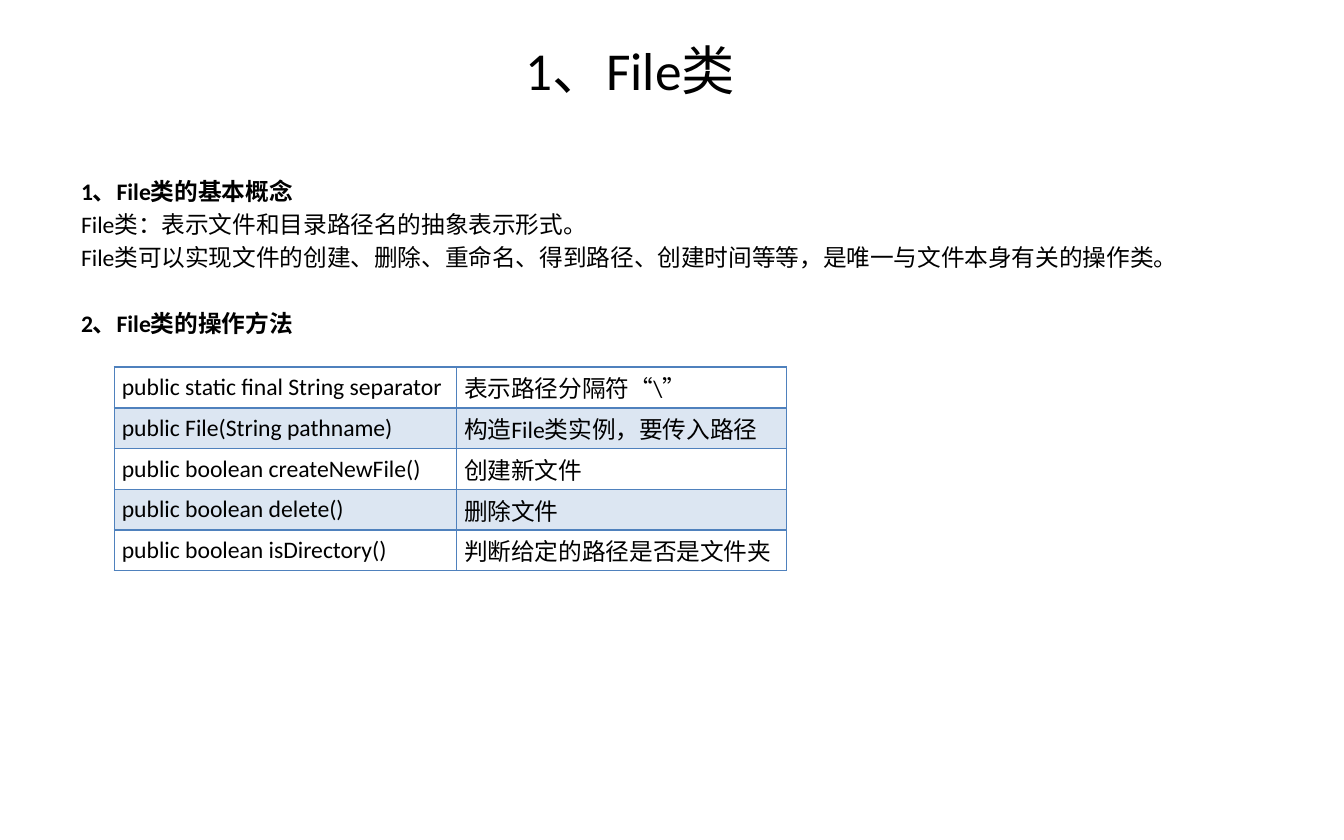
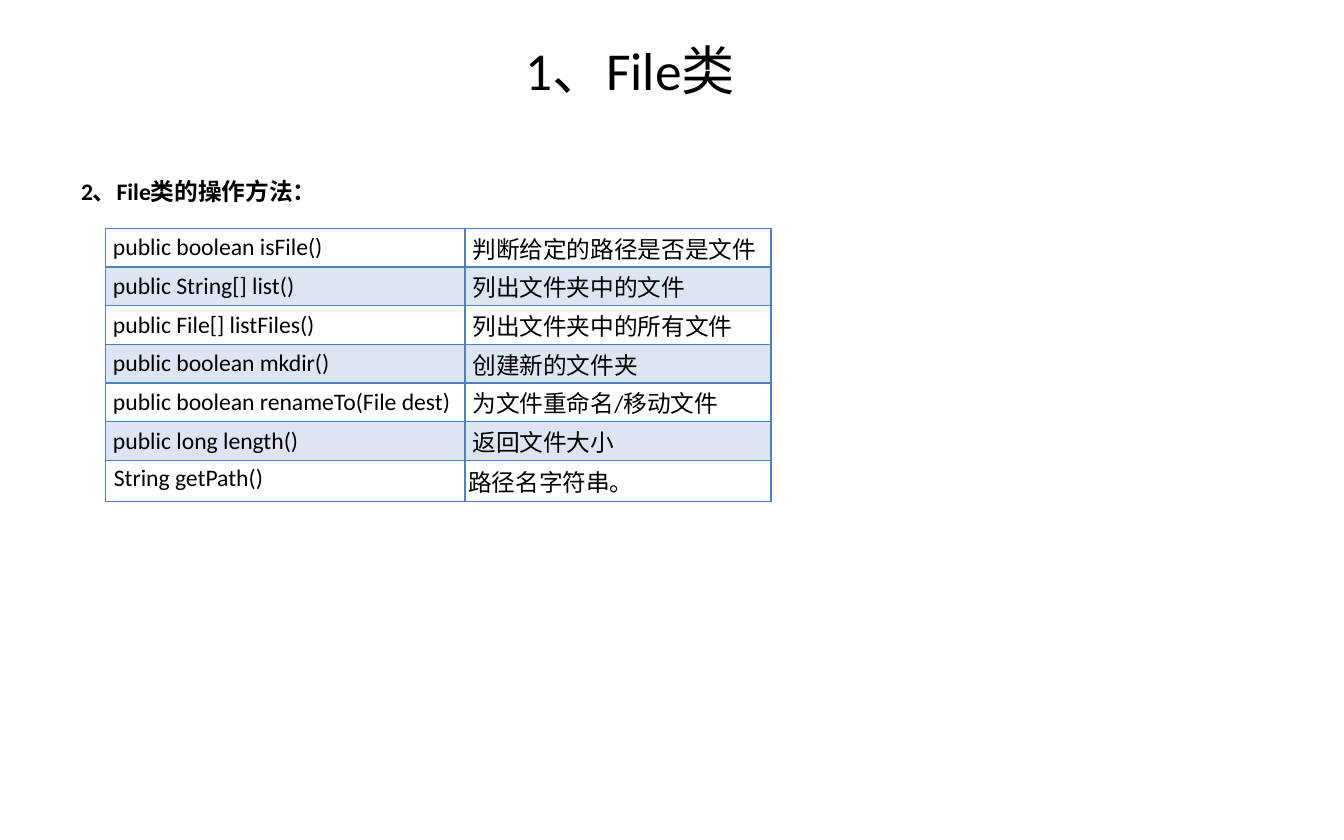
import pptx
import pptx.dml.color
import pptx.enum.text
import pptx.oxml
import pptx.oxml.ns
import pptx.util

Cm = pptx.util.Cm
Pt = pptx.util.Pt
ALIGN = pptx.enum.text.PP_ALIGN
ANCHOR = pptx.enum.text.MSO_ANCHOR

COLORS = {"text": "000000", "border": "4F81BD", "band": "DCE6F2"}
FONT = "Calibri"
TITLE = "1、File类"
TITLE_BOX = (4.01, 0.81, 22, 1.68)
BODY_BOX = (1.6, 4.04, 28.8, 13.49)
BOX_MARGINS = (0.33, 0.18, 0.33, 0.18)
CELL_MARGINS = (0.18, 0, 0.18, 0)
TITLE_SIZE, TEXT_SIZE = 36, 16
LINE_GAP, SECTION_GAP = 3, 25.5
THIN, THICK = 1, 2

# Body lines: (text, is a heading)
SLIDES = [
    {
        "body": [
            ("1、File类的基本概念", True),
            ("File类：表示文件和目录路径名的抽象表示形式。", False),
            ("File类可以实现文件的创建、删除、重命名、得到路径、创建时间等等，"
             "是唯一与文件本身有关的操作类。", False),
            ("2、File类的操作方法", True),
        ],
        "origin": (2.72, 8.74),
        "columns": (8.15, 7.85),
        "row_height": 0.97,
        "methods": [
            ("public static final String separator", "表示路径分隔符“\\”"),
            ("public File(String pathname)", "构造File类实例，要传入路径"),
            ("public boolean createNewFile()", "创建新文件"),
            ("public boolean delete()", "删除文件"),
            ("public boolean isDirectory()", "判断给定的路径是否是文件夹"),
        ],
    },
    {
        "body": [("2、File类的操作方法：", True)],
        "origin": (2.51, 5.44),
        "columns": (8.56, 7.29),
        "row_height": 0.92,
        "methods": [
            ("public boolean isFile()", "判断给定的路径是否是文件"),
            ("public String[] list()", "列出文件夹中的文件"),
            ("public File[] listFiles()", "列出文件夹中的所有文件"),
            ("public boolean mkdir()", "创建新的文件夹"),
            ("public boolean renameTo(File dest)", "为文件重命名/移动文件"),
            ("public long length()", "返回文件大小"),
            ("String getPath()", "路径名字符串。"),
        ],
        "last_row": {
            "height": 0.98,
            "margins": [(0.2, 0.08, 0.08, 0.08), (0.08, 0.08, 0.08, 0.08)],
            "anchors": [ANCHOR.TOP, ANCHOR.MIDDLE],
        },
    },
]


def set_values(target, values):
    for name, value in values.items():
        setattr(target, name, value)


def set_margins(target, margins):
    sides = ("left", "top", "right", "bottom")
    set_values(target, {f"margin_{side}": Cm(margin)
                        for side, margin in zip(sides, margins)})


def set_text(paragraph, text, size=TEXT_SIZE, bold=False, **layout):
    paragraph.text = text
    set_values(paragraph, layout)
    set_values(paragraph.font, {"name": FONT, "size": Pt(size), "bold": bold})
    paragraph.font.color.rgb = pptx.dml.color.RGBColor.from_string(COLORS["text"])


def set_borders(cell, widths):
    """Draw the cell edges; widths maps L, R, T and B to points."""
    properties = cell._tc.get_or_add_tcPr()
    for side, width in widths.items():
        properties.append(pptx.oxml.parse_xml(
            f'<a:ln{side} {pptx.oxml.ns.nsdecls("a")} w="{Pt(width)}">'
            f'<a:solidFill><a:srgbClr val="{COLORS["border"]}"/></a:solidFill>'
            f'</a:ln{side}>'))


def add_title(slide):
    title = slide.shapes.title
    set_values(title, dict(zip(("left", "top", "width", "height"),
                               map(Cm, TITLE_BOX))))
    frame = title.text_frame
    set_values(frame, {"vertical_anchor": ANCHOR.MIDDLE, "word_wrap": True,
                       "auto_size": pptx.enum.text.MSO_AUTO_SIZE.NONE})
    set_margins(frame, BOX_MARGINS)
    set_text(frame.paragraphs[0], TITLE, TITLE_SIZE, alignment=ALIGN.CENTER)


def add_body(slide, lines):
    frame = slide.shapes.add_textbox(*map(Cm, BODY_BOX)).text_frame
    frame.word_wrap = True
    set_margins(frame, BOX_MARGINS)
    for index, (text, is_heading) in enumerate(lines):
        paragraph = frame.add_paragraph() if index else frame.paragraphs[0]
        gap = SECTION_GAP if is_heading else LINE_GAP
        set_text(paragraph, text, bold=is_heading,
                 space_before=Pt(gap if index else 0))


def add_method_table(slide, content):
    methods, columns = content["methods"], content["columns"]
    last_row = content.get("last_row")
    heights = [content["row_height"]] * len(methods)
    if last_row:
        heights[-1] = last_row["height"]
    table = slide.shapes.add_table(
        len(methods), len(columns), *map(Cm, content["origin"]),
        Cm(sum(columns)), Cm(sum(heights))).table
    set_values(table, {"first_row": False, "horz_banding": False})
    for column, width in zip(table.columns, columns):
        column.width = Cm(width)
    for row_index, texts in enumerate(methods):
        table.rows[row_index].height = Cm(heights[row_index])
        special = last_row if row_index == len(methods) - 1 else None
        for column_index, text in enumerate(texts):
            cell = table.cell(row_index, column_index)
            set_margins(cell, special["margins"][column_index]
                        if special else CELL_MARGINS)
            cell.vertical_anchor = (special["anchors"][column_index]
                                    if special else ANCHOR.MIDDLE)
            justified = column_index == 1 and not special
            set_text(cell.text_frame.paragraphs[0], text,
                     alignment=ALIGN.JUSTIFY if justified else ALIGN.LEFT)
            set_borders(cell, {"L": THIN, "R": THIN,
                               "T": THICK if row_index == 1 else THIN,
                               "B": THICK if row_index == 0 else THIN})
            if row_index % 2:
                cell.fill.solid()
                cell.fill.fore_color.rgb = pptx.dml.color.RGBColor.from_string(
                    COLORS["band"])
            else:
                cell.fill.background()


def main():
    presentation = pptx.Presentation()
    set_values(presentation, {"slide_width": Cm(32), "slide_height": Cm(20)})
    title_only = presentation.slide_layouts.get_by_name("Title Only")
    for content in SLIDES:
        slide = presentation.slides.add_slide(title_only)
        add_title(slide)
        add_body(slide, content["body"])
        add_method_table(slide, content)
    presentation.save("out.pptx")


if __name__ == "__main__":
    main()
